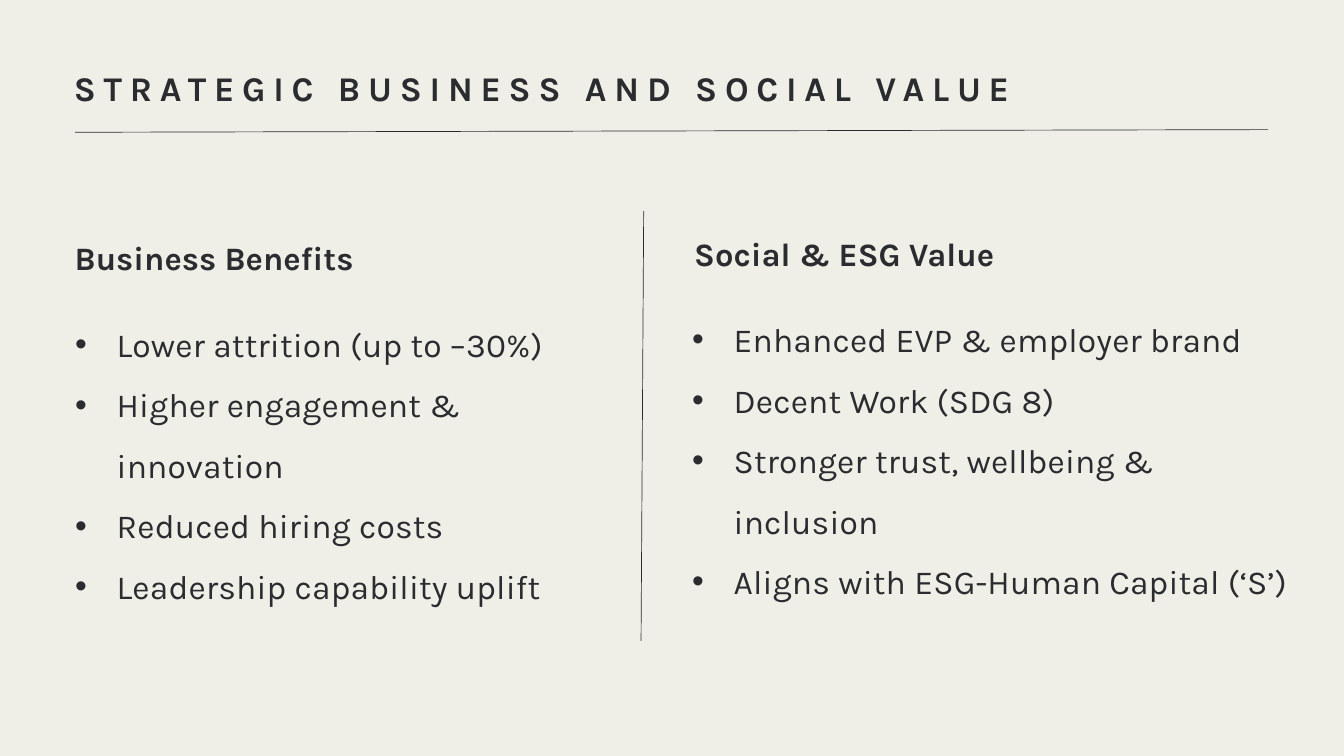
"""Build the slide on strategic business and social value."""
from dataclasses import dataclass

from lxml import etree
from pptx import Presentation
from pptx.dml.color import RGBColor
from pptx.enum.shapes import MSO_CONNECTOR
from pptx.oxml.ns import qn
from pptx.util import Cm, Pt

STRAIGHT = MSO_CONNECTOR.STRAIGHT
INK = "2B2C30"
PAPER = "EFEEE7"
FONT = "Karla"
INDENT = Cm(1.57)


@dataclass(frozen=True)
class Style:
    size: float
    bold: bool = False
    spacing: float = 0
    bulleted: bool = False


@dataclass(frozen=True)
class TextBlock:
    left: float
    top: float
    width: float
    height: float
    style: Style
    lines: tuple[str, ...]


@dataclass(frozen=True)
class Rule:
    start_x: float
    start_y: float
    end_x: float
    end_y: float


TITLE = Style(37.1, bold=True, spacing=8.4)
HEADING = Style(35, bold=True)
BULLETS = Style(36, spacing=0.2, bulleted=True)

BLOCKS = (
    TextBlock(2.79, 2.54, 45.09, 1.6, TITLE, ("STRATEGIC BUSINESS AND SOCIAL VALUE",)),
    TextBlock(2.82, 8.99, 13.06, 1.5, HEADING, ("Business Benefits",)),
    TextBlock(2.84, 11.48, 20.75, 11.25, BULLETS, (
        "Lower attrition (up to –30%)",
        "Higher engagement & innovation",
        "Reduced hiring costs",
        "Leadership capability uplift",
    )),
    TextBlock(26.24, 8.84, 13.06, 1.5, HEADING, ("Social & ESG Value",)),
    TextBlock(26.16, 11.3, 23.27, 11.25, BULLETS, (
        "Enhanced EVP & employer brand",
        "Decent Work (SDG 8)",
        "Stronger trust, wellbeing & inclusion",
        "Aligns with ESG-Human Capital (‘S’)",
    )),
)
RULES = (Rule(2.84, 5, 47.93, 4.9), Rule(24.33, 7.98, 24.23, 24.23))


def paint(colour_format, colour: str) -> None:
    colour_format.rgb = RGBColor.from_string(colour)


def add_bullet(paragraph) -> None:
    paragraph.line_spacing = 1.5
    properties = paragraph._p.get_or_add_pPr()
    properties.set("marL", str(INDENT))
    properties.set("indent", str(-INDENT))
    etree.SubElement(properties, qn("a:buFont")).set("typeface", "Arial")
    etree.SubElement(properties, qn("a:buChar")).set("char", "•")


def format_paragraph(paragraph, style: Style) -> None:
    if style.bulleted:
        add_bullet(paragraph)
    font = paragraph.font
    font.name = FONT
    font.size = Pt(style.size)
    font.bold = style.bold
    paint(font.fill_color if hasattr(font, "fill_color") else font.color, INK)
    if style.spacing:
        defaults = paragraph._p.pPr.find(qn("a:defRPr"))
        defaults.set("spc", str(round(style.spacing * 100)))


def draw_text(page, block: TextBlock) -> None:
    box = page.shapes.add_textbox(
        Cm(block.left), Cm(block.top), Cm(block.width), Cm(block.height))
    frame = box.text_frame
    frame.word_wrap = True
    frame.margin_left = frame.margin_right = 0
    frame.margin_top = frame.margin_bottom = 0
    frame.text = "\n".join(block.lines)
    for paragraph in frame.paragraphs:
        format_paragraph(paragraph, block.style)


def draw_rule(page, rule: Rule) -> None:
    line = page.shapes.add_connector(
        STRAIGHT, Cm(rule.start_x), Cm(rule.start_y), Cm(rule.end_x), Cm(rule.end_y))
    line.line.width = Pt(0.75)
    paint(line.line.color, INK)
    etree.SubElement(line._element.spPr, qn("a:effectLst"))


def main() -> None:
    deck = Presentation()
    deck.slide_width, deck.slide_height = Cm(50.8), Cm(28.58)
    page = deck.slides.add_slide(deck.slide_layouts[6])
    page.background.fill.solid()
    paint(page.background.fill.fore_color, PAPER)
    for rule in RULES:
        draw_rule(page, rule)
    for block in BLOCKS:
        draw_text(page, block)
    deck.save("out.pptx")


if __name__ == "__main__":
    main()
